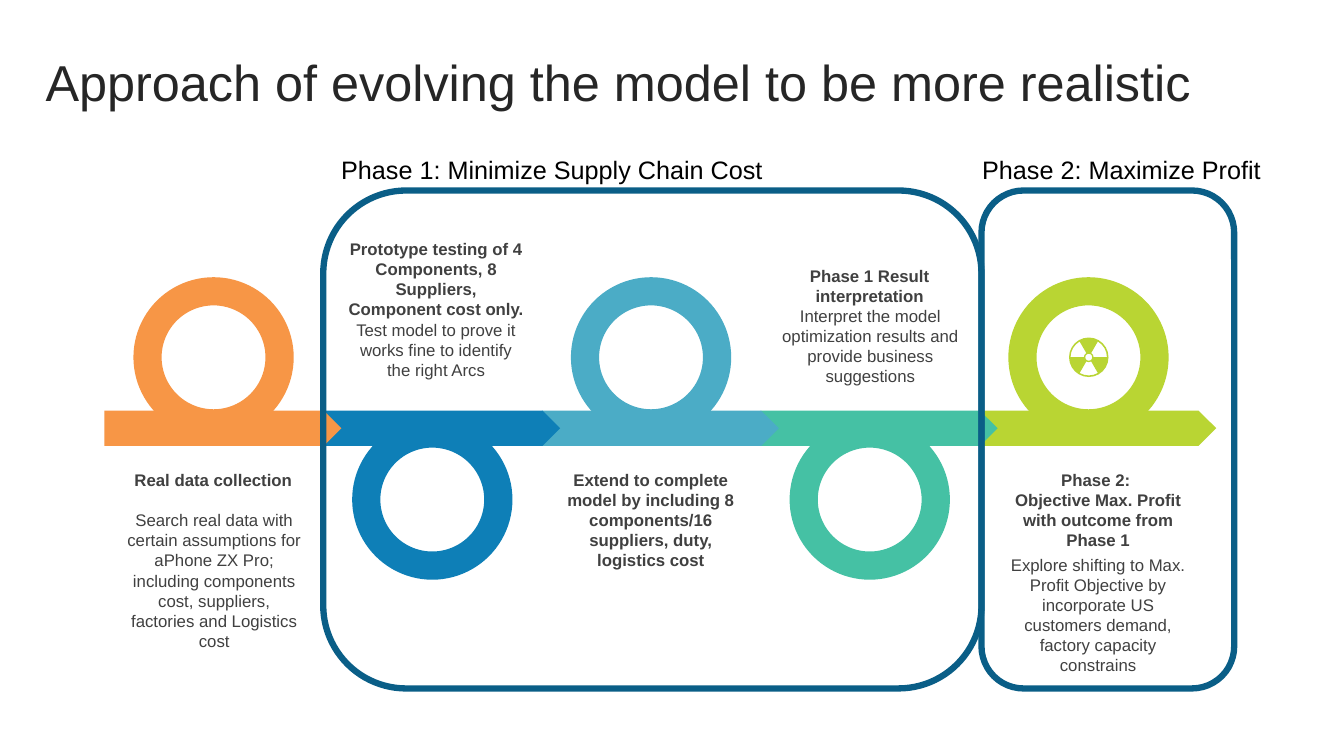
import math
import lxml.etree
import pptx
import pptx.dml.color
import pptx.enum.shapes
import pptx.enum.text
import pptx.oxml.ns
import pptx.util

Pt = pptx.util.Pt
Shape = pptx.enum.shapes.MSO_SHAPE
Align = pptx.enum.text.PP_ALIGN
Anchor = pptx.enum.text.MSO_ANCHOR

# Stage colours from left to right
STAGE_COLORS = ["F79646", "0E7FB7", "4BACC6", "45C1A4", "B9D533"]
STAGE_LEFT, STAGE_STEP = 74.6, 156.24
ARROW_TOP, ARROW_WIDTH, ARROW_HEIGHT = 293.3, 169.2, 25.2
RING_SIZE, RING_INDENT, RING_TOPS = 114.5, 20.7, (198, 299.6)

# Captions: left, top, height, paragraphs as (text, bold)
CAPTION_WIDTH = 140.4
CAPTIONS = [
    (82.2, 331.9, 21.8, [("Real data collection", True)]),
    (82.8, 360.6, 108.7, [
        ("Search real data with certain assumptions for aPhone ZX Pro; including "
         "components cost, suppliers, factories and Logistics cost", False)]),
    (241.3, 166.9, 108.7, [
        ("Prototype testing of 4 Components, 8 Suppliers, Component cost only.", True),
        ("Test model to prove it works fine to identify the right Arcs", False)]),
    (394.7, 331.8, 79.9, [
        ("Extend to complete model by including 8 components/16 suppliers, duty, "
         "logistics cost", True)]),
    (551, 186.5, 36, [("Phase 1 Result interpretation", True)]),
    (551.5, 214.6, 65.5, [
        ("Interpret the model optimization results and provide business suggestions",
         False)]),
    (714.2, 331.9, 65.5, [
        ("Phase 2: ", True),
        ("Objective Max. Profit with outcome from Phase 1", True)]),
    (714.2, 392.4, 94.3, [
        ("Explore shifting to Max. Profit Objective by incorporate US customers "
         "demand, factory capacity constrains", False)]),
]

# Phases: label, label left, label width, frame left, frame width
PHASES = [
    ("Phase 1: Minimize Supply Chain Cost", 236.6, 334.8, 230.9, 470.2),
    ("Phase 2: Maximize Profit", 694.5, 269.3, 701.1, 180.5),
]


def rgb(value):
    return pptx.dml.color.RGBColor.from_string(value)


def set_all(target, values):
    for name, value in values.items():
        setattr(target, name, value)


def place(shape, left, top, width, height):
    set_all(shape, {"left": Pt(left), "top": Pt(top),
                    "width": Pt(width), "height": Pt(height)})


def write(shape, paragraphs, size, color, align, anchor=Anchor.TOP):
    frame = shape.text_frame
    set_all(frame, {"word_wrap": True, "vertical_anchor": anchor,
                    "auto_size": pptx.enum.text.MSO_AUTO_SIZE.NONE})
    for index, (text, bold) in enumerate(paragraphs):
        para = frame.add_paragraph() if index else frame.paragraphs[0]
        para.alignment = align
        span = para.add_run()
        span.text = text
        set_all(span.font, {"name": "Arial", "size": Pt(size), "bold": bold})
        span.font.color.rgb = rgb(color)


def add_text(page, left, top, width, height, paragraphs, size, color, align):
    box = page.shapes.add_textbox(Pt(left), Pt(top), Pt(width), Pt(height))
    write(box, paragraphs, size, color, align)


def paint(shape, color):
    shape.shadow.inherit = False
    shape.fill.solid()
    shape.fill.fore_color.rgb = rgb(color)
    shape.line.fill.background()


def add_filled(page, kind, left, top, width, height, color):
    shape = page.shapes.add_shape(kind, Pt(left), Pt(top), Pt(width), Pt(height))
    paint(shape, color)
    return shape


def add_stage(page, index, color):
    left = STAGE_LEFT + index * STAGE_STEP
    add_filled(page, Shape.PENTAGON, left, ARROW_TOP, ARROW_WIDTH, ARROW_HEIGHT, color)
    ring = add_filled(page, Shape.DONUT, left + RING_INDENT, RING_TOPS[index % 2],
                      RING_SIZE, RING_SIZE, color)
    ring.adjustments[0] = 0.176


def add_frame(page, left, width):
    frame = page.shapes.add_shape(Shape.ROUNDED_RECTANGLE,
                                  Pt(left), Pt(136.1), Pt(width), Pt(355.7))
    frame.shadow.inherit = False
    frame.fill.background()
    frame.line.color.rgb = rgb("0A5E87")
    frame.line.width = Pt(4.5)


def add_radiation_sign(page, center_x, center_y, color):
    # Square outline in hundredths of a point, to be refilled with arcs
    radius = 1410
    left, top = center_x * 100 - radius, center_y * 100 - radius
    right, bottom = left + 2 * radius, top + 2 * radius
    builder = page.shapes.build_freeform(left, top, scale=Pt(1) / 100)
    builder.add_line_segments([(right, top), (right, bottom), (left, bottom)])
    sign = builder.convert_to_shape()
    paint(sign, color)
    outline = sign.element.xpath(".//a:path")[0]
    for step in list(outline):
        outline.remove(step)

    def add_step(tag, parent=outline, **values):
        step = lxml.etree.SubElement(parent, pptx.oxml.ns.qn("a:" + tag))
        for name, value in values.items():
            step.set(name, str(round(value)))
        return step

    def go(tag, distance, angle):
        turn = math.radians(angle)
        add_step("pt", add_step(tag), x=radius + distance * math.cos(turn),
                 y=radius + distance * math.sin(turn))

    def sweep(distance, start, angle):
        add_step("arcTo", wR=distance, hR=distance,
                 stAng=start * 60000, swAng=angle * 60000)

    # Disc and hub
    for distance in (radius, 250):
        go("moveTo", distance, 0)
        for start in range(0, 360, 90):
            sweep(distance, start, 90)
        add_step("close")

    # Three blades
    for start in (60, 180, 300):
        go("moveTo", 350, start)
        go("lnTo", 1300, start)
        sweep(1300, start, 60)
        go("lnTo", 350, start + 60)
        sweep(350, (start + 60) % 360, -60)
        add_step("close")


def main():
    deck = pptx.Presentation()
    set_all(deck, {"slide_width": Pt(960), "slide_height": Pt(540)})
    page = deck.slides.add_slide(deck.slide_layouts[5])

    # Title
    title = page.shapes.title
    place(title, 25.3, 9.9, 911.5, 102.2)
    write(title, [("Approach of evolving the model to be more realistic", False)],
          36, "262626", Align.LEFT, Anchor.MIDDLE)
    title.text_frame.paragraphs[0].line_spacing = 0.9

    # Stages, each arrow tip lying over the next stage
    for index, color in reversed(list(enumerate(STAGE_COLORS))):
        add_stage(page, index, color)
    add_radiation_sign(page, 777.7, 255.2, STAGE_COLORS[-1])

    # Captions
    for left, top, height, paragraphs in CAPTIONS:
        add_text(page, left, top, CAPTION_WIDTH, height, paragraphs,
                 12, "404040", Align.CENTER)

    # Phases
    for label, label_left, label_width, left, width in PHASES:
        add_frame(page, left, width)
        add_text(page, label_left, 106.6, label_width, 28.8, [(label, False)],
                 18, "000000", Align.LEFT)

    deck.save("out.pptx")


main()
